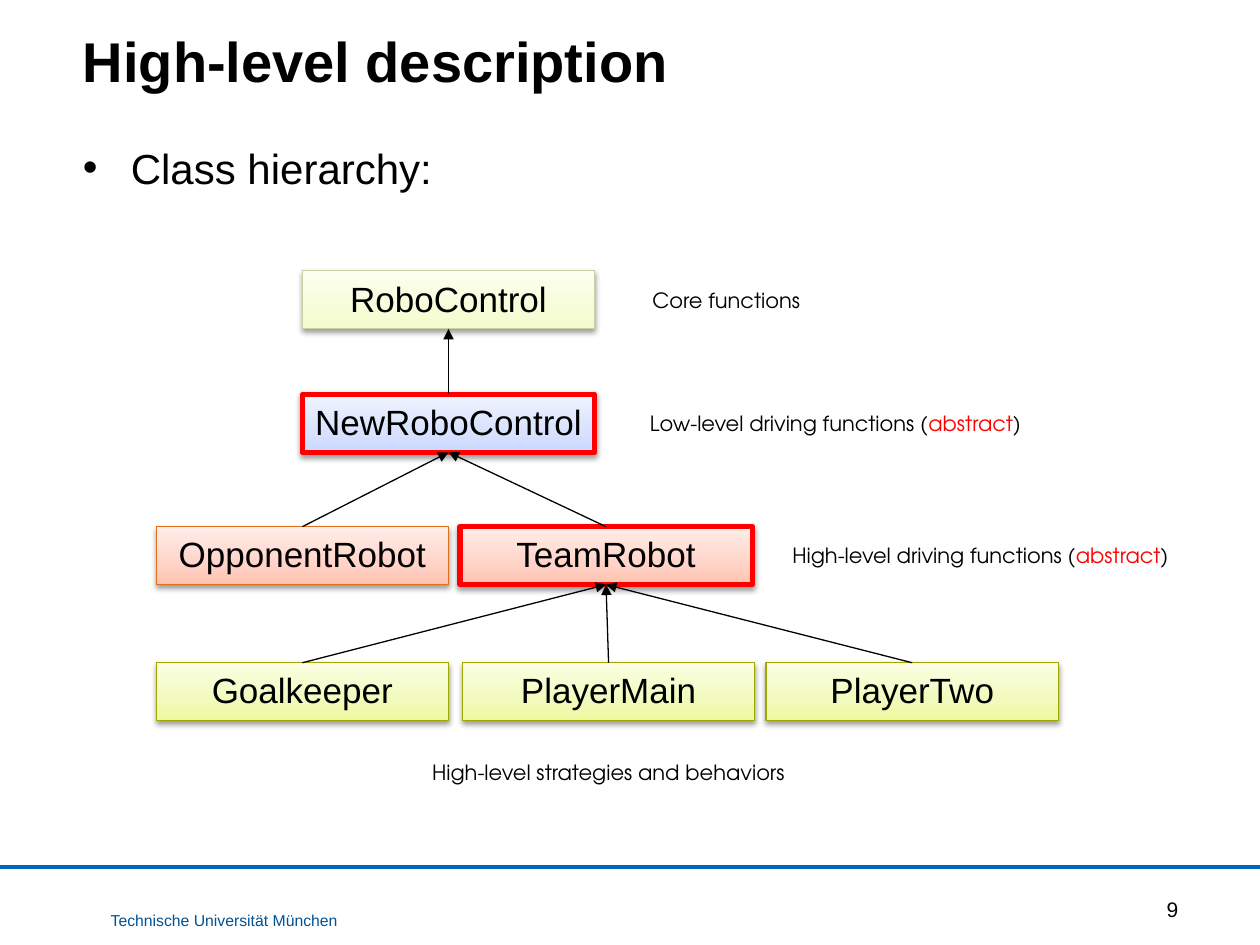
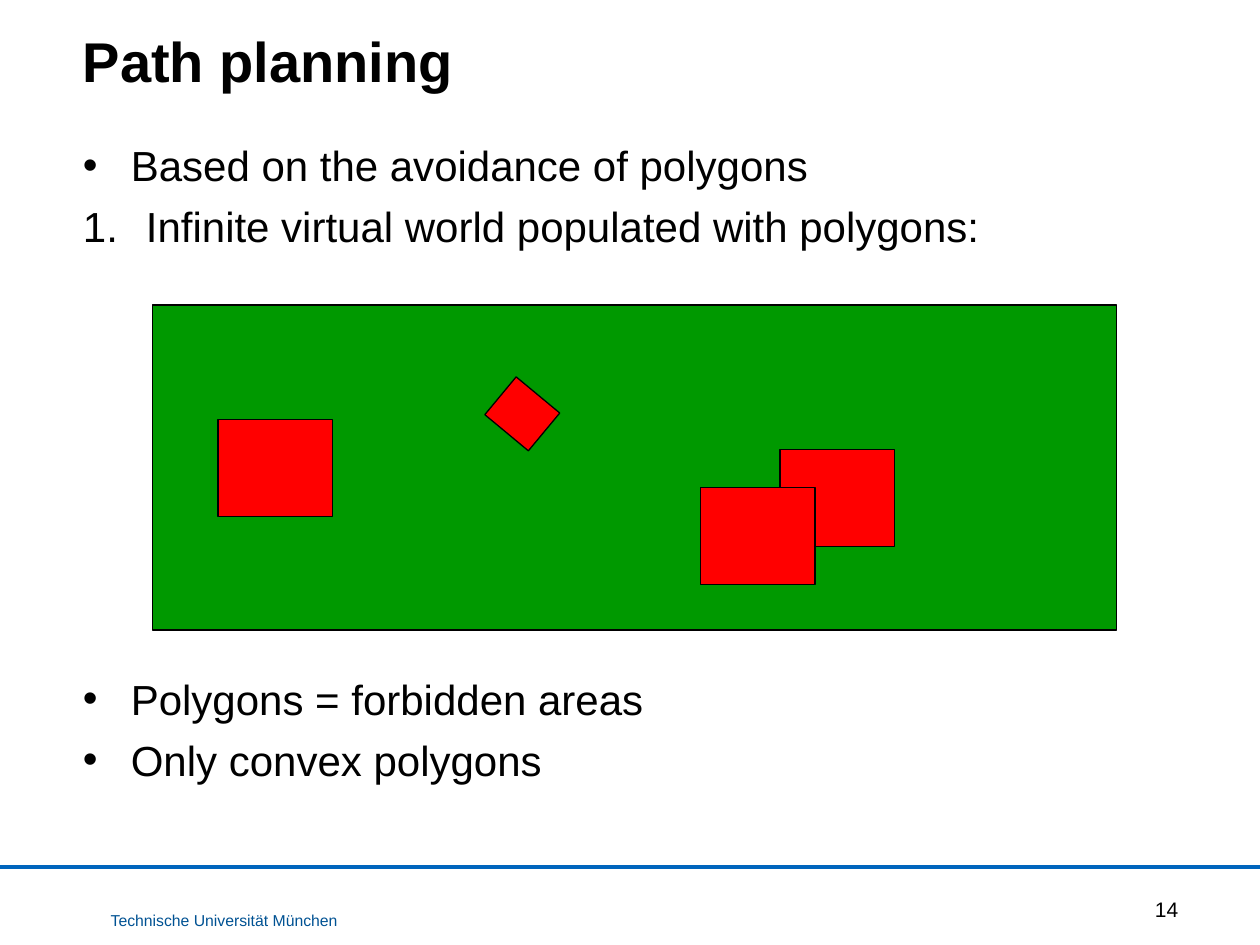
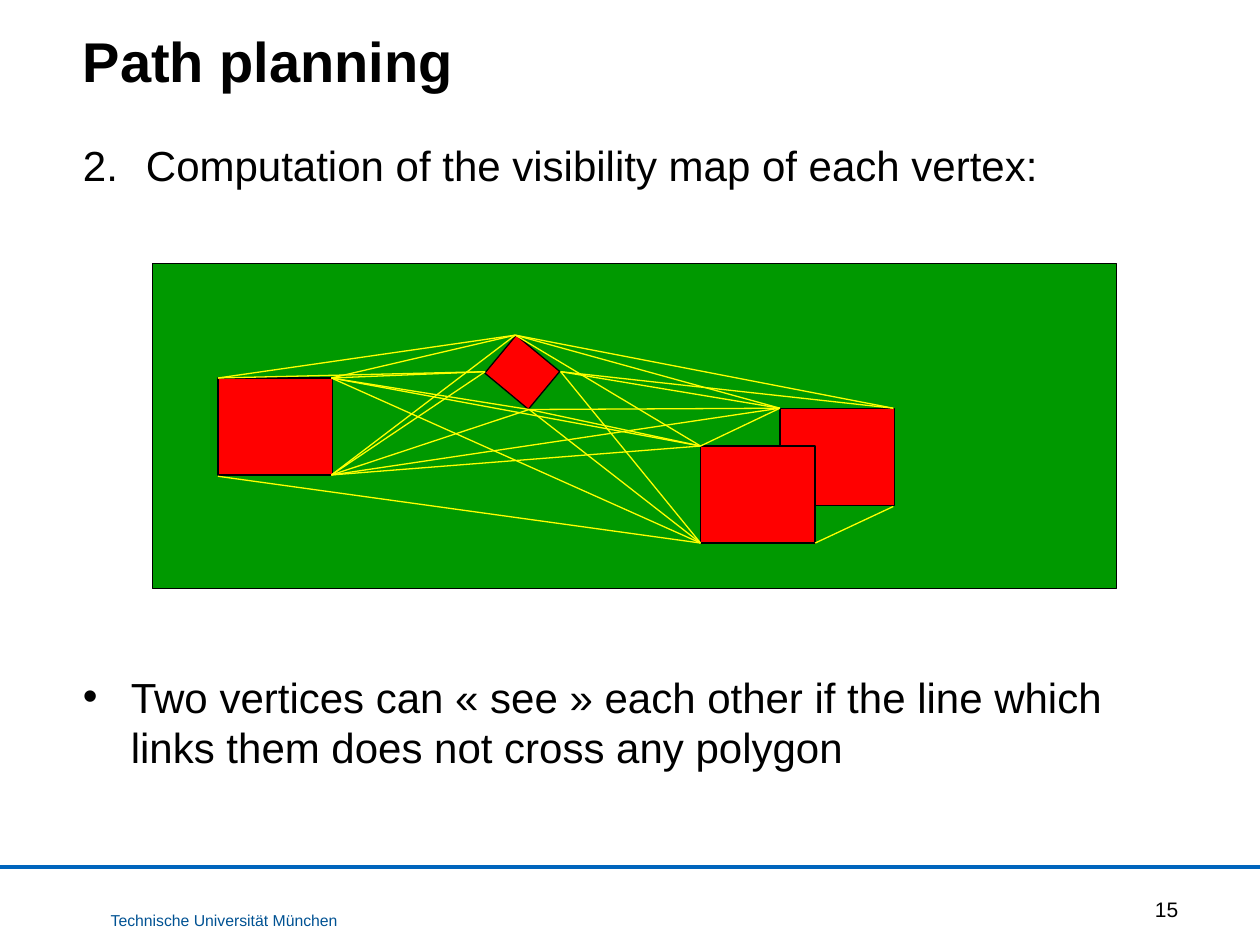
"""Build three slides on robot classes and path planning."""
import collections

import lxml.etree
import pptx
import pptx.dml.color
import pptx.enum.shapes
import pptx.enum.text
import pptx.oxml
import pptx.oxml.ns
import pptx.util

Inches = pptx.util.Inches
Pt = pptx.util.Pt
RGB = pptx.dml.color.RGBColor.from_string
qn = pptx.oxml.ns.qn
Align = pptx.enum.text.PP_ALIGN
Anchor = pptx.enum.text.MSO_ANCHOR
RECT = pptx.enum.shapes.MSO_SHAPE.RECTANGLE
STRAIGHT = pptx.enum.shapes.MSO_CONNECTOR.STRAIGHT

Theme = collections.namedtuple(
    "Theme", "ink red blue navy green yellow font note_font "
    "title body label small foot thin thick band")
theme = Theme(
    ink="000000", red="FF0000", blue="0065BD", navy="005293",
    green="009900", yellow="FFFF00", font="Arial",
    note_font="TeX Gyre Adventor", title=32, body=24, label=20, small=12,
    foot=9, thin=0.75, thick=3, band=2.25)


def write(frame, text, size=theme.small, color=theme.ink, font=theme.font,
          bold=False, align=Align.LEFT, before=0, mark=None, start=1):
    """Add a paragraph; text between bars is red."""
    par = frame.paragraphs[0]
    if par.runs:
        par = frame.add_paragraph()
    par.alignment = align
    par.space_before = Pt(before)
    for i, part in enumerate(text.split("|")):
        run = par.add_run()
        run.text = part
        run.font.size = Pt(size)
        run.font.name = font
        run.font.bold = bold
        run.font.color.rgb = RGB(theme.red if i % 2 else color)
    if mark:
        props = par._p.get_or_add_pPr()
        dent = Inches(0.5 if mark == "1." else 0.38)
        props.set("marL", str(dent))
        props.set("indent", str(-dent))
        lxml.etree.SubElement(props, qn("a:buFont"), typeface=theme.font)
        if mark == "1.":
            lxml.etree.SubElement(props, qn("a:buAutoNum"),
                                  type="arabicPeriod", startAt=str(start))
        else:
            lxml.etree.SubElement(props, qn("a:buChar"), char=mark)


def draw(slide, tail, tip, color, width=theme.thin, arrow=False):
    """Draw a straight line, with an arrowhead at its first end if asked."""
    line = slide.shapes.add_connector(
        STRAIGHT, *[Inches(n) for n in (*tail, *tip)])
    line.line.color.rgb = RGB(color)
    line.line.width = Pt(width)
    props = line._element.spPr
    if arrow:
        lxml.etree.SubElement(props.find(qn("a:ln")), qn("a:headEnd"),
                              type="triangle")
    lxml.etree.SubElement(props, qn("a:effectLst"))


deck = pptx.Presentation()
deck.slide_width = Inches(10)
deck.slide_height = Inches(7.5)

gap = 6
row = 33.6
pages = [
    ("High-level description", 9, 1.08, [
        ("Class hierarchy:", "•", gap)]),
    ("Path planning", 14, 1.06, [
        ("Based on the avoidance of polygons", "•", gap),
        ("Infinite virtual world populated with polygons:", "1.", gap),
        ("Polygons = forbidden areas", "•", gap + 7 * row),
        ("Only convex polygons", "•", gap)]),
    ("Path planning", 15, 1.06, [
        ("Computation of the visibility map of each vertex:", "1.", gap),
        ("Two vertices can « see » each other if the line which links them "
         "does not cross any polygon", "•", gap + 8 * row)]),
]
slides = []
step = 1
for title, page, top, points in pages:
    slide = deck.slides.add_slide(deck.slide_layouts[6])
    slides.append(slide)
    draw(slide, (0, 6.88), (10, 6.88), theme.blue, theme.band)
    spots = [(0.78, 7.18, 2.02, 0.25), (0.56, 0.12, 7.96, 0.67),
             (0.56, top, 8.89, 5.69), (8.89, 7.05, 0.56, 0.33)]
    foot, head, body, count = [
        slide.shapes.add_textbox(*[Inches(n) for n in spot]).text_frame
        for spot in spots]
    for frame in (head, body, count):
        frame.word_wrap = True
    foot.word_wrap = False
    head.vertical_anchor = Anchor.BOTTOM
    count.vertical_anchor = Anchor.MIDDLE
    write(foot, "Technische Universität München", size=theme.foot,
          color=theme.navy)
    write(head, title, size=theme.title, bold=True)
    for text, mark, before in points:
        write(body, text, size=theme.body, before=before, mark=mark,
              start=step)
        step += mark == "1."
    write(count, str(page), align=Align.RIGHT)

tree = slides[0]
wide, high = 2.32, 0.46
cream = ("F4FBCA", "F7FCD9", "FCFFEF")
sky = ("C9D7FF", "D8E2FF", "F0F4FF")
peach = ("FFC2B0", "FFD3C7", "FFEEEA")
lime = ("EEF99E", "F1FABC", "FBFEE4")
nodes = {
    "RoboControl": (2.4, 2.15, cream, "CACFA5", None),
    "NewRoboControl": (2.4, 3.13, sky, theme.red, "RoboControl"),
    "OpponentRobot": (1.24, 4.18, peach, "E36F1D", "NewRoboControl"),
    "TeamRobot": (3.65, 4.18, peach, theme.red, "NewRoboControl"),
    "Goalkeeper": (1.24, 5.26, lime, "9EA900", "TeamRobot"),
    "PlayerMain": (3.67, 5.26, lime, "9EA900", "TeamRobot"),
    "PlayerTwo": (6.08, 5.26, lime, "9EA900", "TeamRobot"),
}
shade = (
    '<a:outerShdw xmlns:a="http://schemas.openxmlformats.org/drawingml/2006/main" '
    'blurRad="40000" dist="20000" dir="5400000" rotWithShape="0">'
    '<a:srgbClr val="000000"><a:alpha val="38000"/></a:srgbClr></a:outerShdw>')
for name, (left, top, tones, edge, base) in nodes.items():
    box = tree.shapes.add_shape(
        RECT, Inches(left), Inches(top), Inches(wide), Inches(high))
    box.fill.gradient()
    box.fill.gradient_angle = 90
    stops = box._element.spPr.find(qn("a:gradFill")).find(qn("a:gsLst"))
    stops.insert(1, pptx.oxml.parse_xml(lxml.etree.tostring(stops[0])))
    for stop, tone, place in zip(box.fill.gradient_stops, tones, (0, 0.35, 1)):
        stop.color.rgb = RGB(tone)
        stop.position = place
    box.line.color.rgb = RGB(edge)
    box.line.width = Pt(theme.thick if edge == theme.red else theme.thin)
    box.shadow.inherit = False
    box._element.spPr.find(qn("a:effectLst")).append(
        pptx.oxml.parse_xml(shade))
    box.text_frame.word_wrap = False
    box.text_frame.vertical_anchor = Anchor.TOP
    write(box.text_frame, name, size=theme.label, align=Align.CENTER)
for left, top, tones, edge, base in nodes.values():
    if base:
        draw(tree, (nodes[base][0] + wide / 2, nodes[base][1] + high),
             (left + wide / 2, top), theme.ink, arrow=True)

notes = [
    (5.08, 2.23, 3.44, "Core functions", Align.LEFT),
    (5.06, 3.21, 3.44, "Low-level driving functions (|abstract|)", Align.LEFT),
    (6.19, 4.26, 3.19, "High-level driving functions (|abstract|)", Align.LEFT),
    (3.04, 5.98, 3.58, "High-level strategies and behaviors", Align.CENTER),
]
for left, top, span, text, align in notes:
    note = tree.shapes.add_textbox(
        Inches(left), Inches(top), Inches(span), Inches(0.3)).text_frame
    note.word_wrap = True
    write(note, text, font=theme.note_font, align=align)

field = [
    (1.21, 0, 7.65, 2.58, 0, theme.green),
    (1.73, 0.91, 0.91, 0.77, 0, theme.red),
    (6.19, 1.15, 0.91, 0.77, 0, theme.red),
    (5.56, 1.45, 0.91, 0.77, 0, theme.red),
    (3.92, 0.67, 0.45, 0.39, 39.7, theme.red),
]
for slide, top in zip(slides[1:], (2.42, 2.09)):
    for left, drop, span, tall, turn, color in field:
        block = slide.shapes.add_shape(
            RECT, Inches(left), Inches(top + drop), Inches(span), Inches(tall))
        block.rotation = turn
        block.fill.solid()
        block.fill.fore_color.rgb = RGB(color)
        block.line.color.rgb = RGB(theme.ink)
        block.line.width = Pt(theme.thin)
        block.shadow.inherit = False

points = {
    "A": (1.73, 3), "B": (2.63, 3), "C": (2.63, 3.77), "D": (1.73, 3.78),
    "E": (4.09, 2.66), "F": (4.45, 2.95), "G": (4.2, 3.25), "H": (3.85, 2.95),
    "I": (6.19, 3.24), "J": (7.09, 3.24), "K": (7.09, 4.02),
    "L": (5.56, 3.54), "M": (6.47, 4.31), "N": (5.56, 4.31),
}
sights = ("JE JF IF IE IG IC IL EB EA EC EL FN HB HA HC GN GL MK DN BN BL "
          "GC GB CL")
for tail, tip in sights.split():
    draw(slides[2], points[tail], points[tip], theme.yellow)

deck.save("out.pptx")
